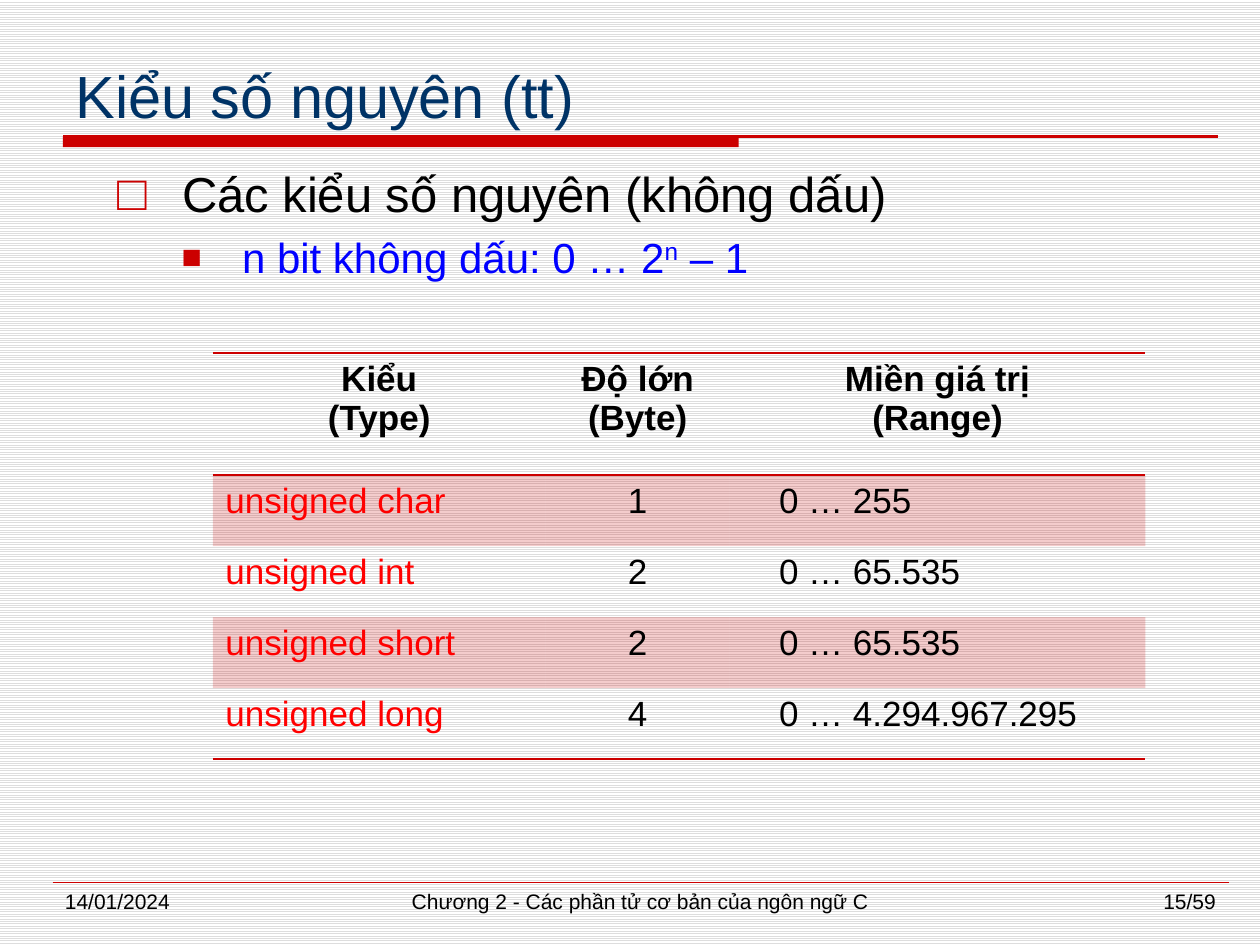
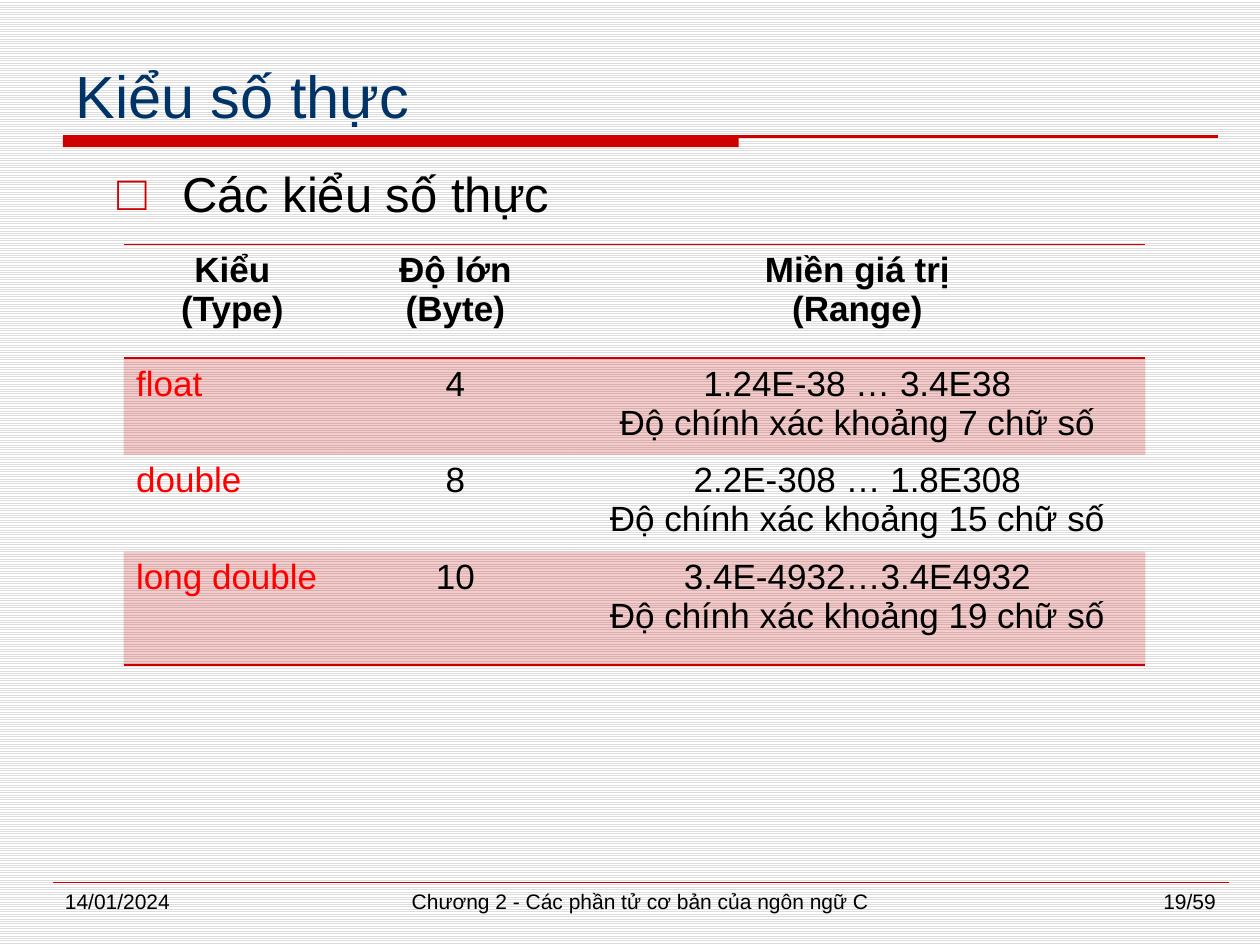
"""Build two slides on the integer and real number types of C."""
from lxml.etree import SubElement
from pptx import Presentation
from pptx.dml.color import RGBColor
from pptx.enum.dml import MSO_PATTERN
from pptx.enum.shapes import MSO_CONNECTOR, MSO_SHAPE
from pptx.enum.text import MSO_ANCHOR, MSO_AUTO_SIZE, PP_ALIGN
from pptx.oxml import parse_xml
from pptx.oxml.ns import nsdecls, qn
from pptx.util import Cm, Pt

FONT = "Arial"
RED = RGBColor(0xCC, 0x00, 0x00)
NAVY = RGBColor(0x00, 0x33, 0x66)
BLACK = RGBColor(0x00, 0x00, 0x00)
BLUE = RGBColor(0x00, 0x00, 0xFF)
TYPE_RED = RGBColor(0xFF, 0x00, 0x00)
STRIPE = RGBColor(0xDD, 0xDD, 0xDD)
WHITE = RGBColor(0xFF, 0xFF, 0xFF)

NO_STYLE = "{2D5ABB26-0587-4C30-8999-92F81FD0307C}"
DATE = "14/01/2024"
CHAPTER = "Chương 2 - Các phần tử cơ bản của ngôn ngữ C"
PAGES = 59
HEADER = ("Kiểu\n(Type)", "Độ lớn\n(Byte)", "Miền giá trị\n(Range)")
LEVELS = (
    dict(char="□", pct=100, left=1.3, hang=1.3, size=28, color=BLACK, before=0),
    dict(char="■", pct=80, left=2.51, hang=1.22, size=24, color=BLUE, before=5),
)


class Deck:
    """Hold the shared style and the current slide."""

    def __init__(self):
        self.prs = Presentation()
        self.prs.slide_width, self.prs.slide_height = Cm(25.4), Cm(19.05)
        self.s = None

    def font(self, p, size, color, bold=False):
        for r in p.runs:
            r.font.name, r.font.size, r.font.bold = FONT, Pt(size), bold
            r.font.color.rgb = color

    def line(self, x1, x2, y, width):
        ln = self.s.shapes.add_connector(
            MSO_CONNECTOR.STRAIGHT, Cm(x1), Cm(y), Cm(x2), Cm(y))
        ln.line.color.rgb, ln.line.width = RED, Pt(width)
        SubElement(ln._element.spPr, qn("a:effectLst"))

    def bar(self, x, y, w, h):
        sp = self.s.shapes.add_shape(MSO_SHAPE.RECTANGLE, Cm(x), Cm(y), Cm(w), Cm(h))
        sp.shadow.inherit = False
        sp.fill.solid()
        sp.fill.fore_color.rgb = RED
        sp.line.fill.background()

    def text_box(self, x, y, w, h):
        tf = self.s.shapes.add_textbox(Cm(x), Cm(y), Cm(w), Cm(h)).text_frame
        tf.word_wrap = True
        return tf

    def footer(self, text, x, w, align):
        p = self.text_box(x, 17.78, w, 0.89).paragraphs[0]
        p.text, p.alignment = text, align
        self.font(p, 12, BLACK)

    def title(self, text):
        sp = self.s.shapes.title
        sp.left, sp.top, sp.width, sp.height = Cm(1.27), Cm(0.84), Cm(23.29), Cm(1.91)
        tf = sp.text_frame
        tf.text = text
        tf.auto_size, tf.vertical_anchor = MSO_AUTO_SIZE.NONE, MSO_ANCHOR.BOTTOM
        tf.paragraphs[0].alignment = PP_ALIGN.LEFT
        self.font(tf.paragraphs[0], 34, NAVY)

    def slide(self, title, page):
        self.s = self.prs.slides.add_slide(self.prs.slide_layouts[5])
        fill = self.s.background.fill
        fill.patterned()
        fill.pattern = MSO_PATTERN.LIGHT_HORIZONTAL
        fill.fore_color.rgb, fill.back_color.rgb = STRIPE, WHITE
        self.bar(1.27, 2.75, 13.62, 0.22)
        self.line(1.27, 24.56, 2.75, 1.5)
        self.line(1.06, 24.77, 17.78, 0.25)
        self.title(title)
        self.footer(DATE, 1.06, 5.5, PP_ALIGN.LEFT)
        self.footer(CHAPTER, 7.41, 11, PP_ALIGN.CENTER)
        self.footer(f"{page}/{PAGES}", 19.26, 5.5, PP_ALIGN.RIGHT)

    def bullets(self, width, items):
        """Add bullets; every second part of an item is superscript."""
        tf = self.text_box(2.12, 3.18, width, 14.4)
        for i, (level, parts) in enumerate(items):
            p = tf.add_paragraph() if i else tf.paragraphs[0]
            look = LEVELS[level]
            pPr = p._p.get_or_add_pPr()
            pPr.set("marL", str(Cm(look["left"])))
            pPr.set("indent", str(-Cm(look["hang"])))
            SubElement(SubElement(pPr, qn("a:buClr")), qn("a:srgbClr"), val=str(RED))
            SubElement(pPr, qn("a:buSzPct"), val=str(look["pct"] * 1000))
            SubElement(pPr, qn("a:buFont"), typeface=FONT)
            SubElement(pPr, qn("a:buChar"), char=look["char"])
            p.level, p.alignment = level, PP_ALIGN.JUSTIFY
            p.space_before = Pt(look["before"])
            for n, part in enumerate(parts):
                r = p.add_run()
                r.text = part
                if n % 2:
                    r.font._element.set("baseline", "30000")
            self.font(p, look["size"], look["color"])

    def border(self, cell, *sides):
        tcPr = cell._tc.get_or_add_tcPr()
        for n, side in enumerate(sides):
            tcPr.insert(n, parse_xml(
                f'<a:{side} {nsdecls("a")} w="12700"><a:solidFill>'
                f'<a:srgbClr val="{RED}"/></a:solidFill></a:{side}>'))

    def tint(self, cell):
        cell.fill.solid()
        cell.fill.fore_color.rgb = RED
        clr = cell._tc.tcPr.find(".//" + qn("a:srgbClr"))
        SubElement(clr, qn("a:alpha"), val="20000")

    def table(self, x, y, widths, heights, body, range_indent=None):
        rows = (HEADER, *body)
        tbl = self.s.shapes.add_table(
            len(rows), len(widths), Cm(x), Cm(y),
            Cm(sum(widths)), Cm(sum(heights))).table
        tbl.first_row = tbl.horz_banding = False
        tbl._tbl.tblPr.find(qn("a:tableStyleId")).text = NO_STYLE
        for col, w in zip(tbl.columns, widths):
            col.width = Cm(w)
        for row, h in zip(tbl.rows, heights):
            row.height = Cm(h)
        for i, row in enumerate(rows):
            for j, text in enumerate(row):
                cell = tbl.cell(i, j)
                cell.text = text
                if i % 2:
                    self.tint(cell)
                else:
                    cell.fill.background()
                if i == 0:
                    self.border(cell, "lnT", "lnB")
                elif i == len(rows) - 1:
                    self.border(cell, "lnB")
                indented = i > 0 and j == 2 and range_indent
                type_name = i > 0 and j == 0
                for p in cell.text_frame.paragraphs:
                    left = indented or type_name
                    p.alignment = PP_ALIGN.LEFT if left else PP_ALIGN.CENTER
                    if indented:
                        p._p.get_or_add_pPr().set("indent", str(Cm(range_indent)))
                    self.font(p, 20, TYPE_RED if type_name else BLACK, i == 0)


def main():
    deck = Deck()

    deck.slide("Kiểu số nguyên (tt)", 15)
    deck.bullets(22.02, [
        (0, ["Các kiểu số nguyên (không dấu)"]),
        (1, ["n bit không dấu: 0 … 2", "n", " – 1"]),
    ])
    deck.table(4.29, 7.12, (6.71, 3.71, 8.38), (2.46, *[1.43] * 4), [
        ("unsigned char", "1", "0 … 255"),
        ("unsigned int", "2", "0 … 65.535"),
        ("unsigned short", "2", "0 … 65.535"),
        ("unsigned long", "4", "0 … 4.294.967.295"),
    ], range_indent=0.74)

    deck.slide("Kiểu số thực", 19)
    deck.bullets(22.78, [(0, ["Các kiểu số thực"])])
    digits = "Độ chính xác khoảng {} chữ số"
    deck.table(2.49, 4.93, (4.39, 4.6, 11.61), (2.29, 1.83, 1.83, 2.29), [
        ("float", "4", "1.24E-38 … 3.4E38\n" + digits.format(7)),
        ("double", "8", "2.2E-308 … 1.8E308\n" + digits.format(15)),
        ("long double", "10", "3.4E-4932…3.4E4932\n" + digits.format(19)),
    ])

    deck.prs.save("out.pptx")


if __name__ == "__main__":
    main()
